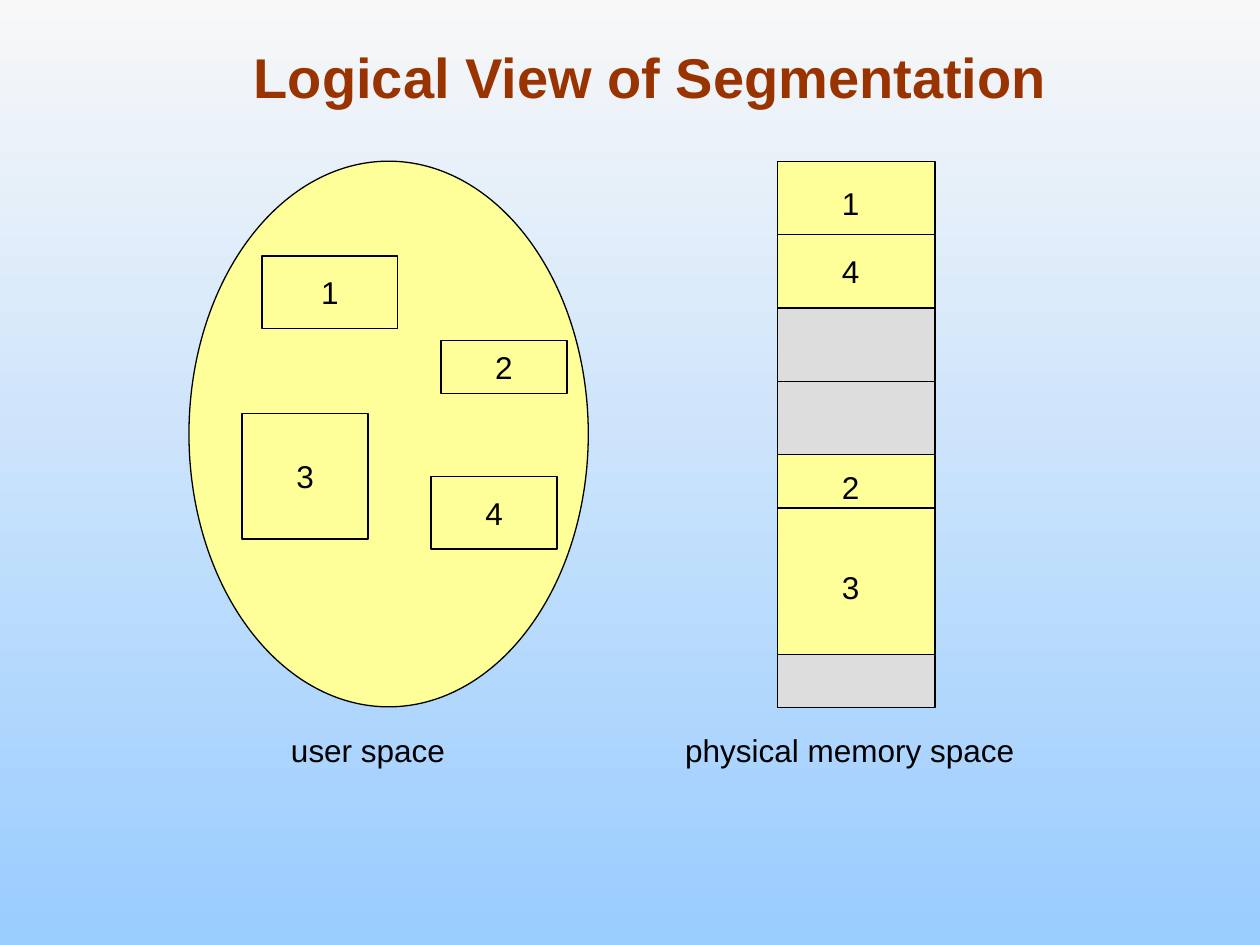
import pptx
import pptx.util
import pptx.dml.color
import pptx.enum.shapes
import pptx.enum.text
import pptx.oxml

Cm = pptx.util.Cm
Pt = pptx.util.Pt
Shape = pptx.enum.shapes.MSO_SHAPE
Anchor = pptx.enum.text.MSO_ANCHOR


def color(code):
    return pptx.dml.color.RGBColor.from_string(code)


class Board:
    font = "Arial"
    ink = "000000"
    used = "FFFF99"
    free = "DDDDDD"
    brown = "993300"
    sky = ("F8F8F8", "99CCFF")
    width = 0.75

    def __init__(self, deck):
        self.slide = deck.slides.add_slide(deck.slide_layouts[6])
        self.shapes = self.slide.shapes

    def paint(self):
        fill = self.slide.background.fill
        fill.gradient()
        fill.gradient_angle = 270
        for stop, code in zip(fill.gradient_stops, self.sky):
            stop.color.rgb = color(code)

    def letter(self, shape, text, size=18, code=ink, bold=False, anchor=Anchor.MIDDLE, wrap=False):
        frame = shape.text_frame
        frame.word_wrap = wrap
        frame.vertical_anchor = anchor
        line = frame.paragraphs[0]
        line.text = text
        line.alignment = pptx.enum.text.PP_ALIGN.CENTER
        line.font.name = self.font
        line.font.size = Pt(size)
        line.font.bold = bold
        line.font.color.rgb = color(code)

    def label(self, text, left, top, width, height=1.02, **style):
        box = self.shapes.add_textbox(Cm(left), Cm(top), Cm(width), Cm(height))
        self.letter(box, text, **style)

    def block(self, left, top, width, height, fill=used, text="", kind=Shape.RECTANGLE):
        shape = self.shapes.add_shape(kind, Cm(left), Cm(top), Cm(width), Cm(height))
        shape.shadow.inherit = False
        shape.fill.solid()
        shape.fill.fore_color.rgb = color(fill)
        self.stroke(shape)
        if text:
            self.letter(shape, text)

    def rule(self, left, top, width):
        line = self.shapes.add_connector(
            pptx.enum.shapes.MSO_CONNECTOR.STRAIGHT,
            Cm(left), Cm(top), Cm(left + width), Cm(top))
        self.stroke(line)
        props = line._element.spPr
        props.append(pptx.oxml.xmlchemy.OxmlElement("a:effectLst"))

    def stroke(self, shape):
        shape.line.color.rgb = color(self.ink)
        shape.line.width = Pt(self.width)


def main():
    deck = pptx.Presentation()
    deck.slide_width, deck.slide_height = Cm(25.4), Cm(19.05)
    board = Board(deck)
    board.paint()
    board.label("Logical View of Segmentation", 1.9, 0.64, 22.43, 1.7, size=32,
                code=board.brown, bold=True, anchor=Anchor.BOTTOM, wrap=True)

    top = 3.25
    board.block(3.81, top, 8.05, 11, kind=Shape.OVAL)
    parts = (
        ("1", 5.28, 5.16, 2.74, 1.47),
        ("3", 4.88, 8.33, 2.54, 2.54),
        ("2", 8.89, 6.86, 2.54, 1.07),
        ("4", 8.69, 9.6, 2.54, 1.47),
    )
    for name, *place in parts:
        board.block(*place, text=name)

    left, wide = 15.67, 3.18
    stack = (
        (2.96, board.used, 1.48),
        (2.96, board.free, 1.48),
        (4.02, board.used, 1.07),
        (1.07, board.free, None),
    )
    for height, fill, split in stack:
        board.block(left, top, wide, height, fill)
        if split:
            board.rule(left, top + split, wide)
        top += height

    for name, spot in (("1", 3.58), ("4", 4.95), ("2", 9.3), ("3", 11.33)):
        board.label(name, 16.72, spot, 0.86)
    board.label("user space", 5.53, 14.6, 3.78)
    board.label("physical memory space", 13.56, 14.6, 7.14)
    deck.save("out.pptx")


if __name__ == "__main__":
    main()
